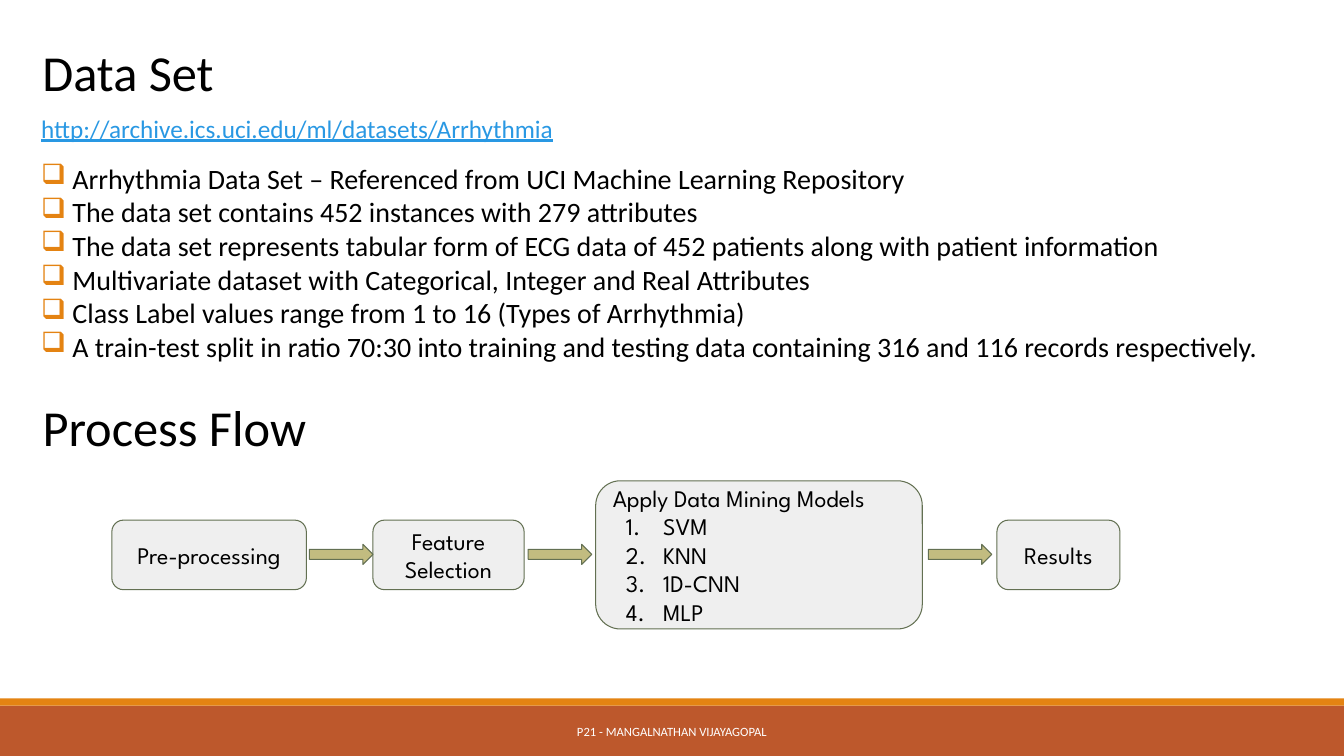
import dataclasses

import pptx
import pptx.dml.color
import pptx.enum.shapes
import pptx.enum.text
import pptx.oxml.xmlchemy
import pptx.util
from lxml import etree

SHAPE = pptx.enum.shapes.MSO_SHAPE
ALIGN = pptx.enum.text.PP_ALIGN
ANCHOR = pptx.enum.text.MSO_ANCHOR
DRAWING = "{http://schemas.openxmlformats.org/drawingml/2006/main}"

COLUMN = ROW = pptx.util.Inches(0.1)
COLUMNS, ROWS = 133.33, 75
MARGIN = 3.1
FLOW_MIDDLE = 55.05

FACTS = [
    "Arrhythmia Data Set – Referenced from UCI Machine Learning Repository",
    "The data set contains 452 instances with 279 attributes",
    "The data set represents tabular form of ECG data of 452 patients along with patient information",
    "Multivariate dataset with Categorical, Integer and Real Attributes",
    "Class Label values range from 1 to 16 (Types of Arrhythmia)",
    "A train-test split in ratio 70:30 into training and testing data containing 316 and 116 records respectively.",
]
MODELS = ["SVM", "KNN", "1D-CNN", "MLP"]
# Left column, width, height, heading, numbered items
STEPS = [
    (11.1, 19.3, 6.9, "Pre-processing", []),
    (37, 15, 6.9, "Feature Selection", []),
    (59.1, 32.4, 14.7, "Apply Data Mining Models", MODELS),
    (98.9, 12.2, 6.9, "Results", []),
]
ARROW_COLUMNS = [30.7, 52.4, 92.1]


@dataclasses.dataclass(frozen=True)
class Theme:
    body_font: str = "Calibri"
    flow_font: str = "League Spartan"
    title_size: float = 36
    fact_size: float = 20
    fact_leading: float = 24
    link_size: float = 18
    flow_size: float = 17
    flow_leading: float = 20.4
    footer_size: float = 9
    text: str = "000000"
    link: str = "2998E3"
    accent: str = "E48312"
    footer: str = "BD582C"
    footer_text: str = "FFFFFF"
    step: str = "EFEFEF"
    arrow: str = "C2BC80"
    outline: str = "637052"


THEME = Theme()


def rgb(value):
    return pptx.dml.color.RGBColor.from_string(value)


def place(column, row, width, height):
    """Turn grid columns and rows into slide lengths."""
    return (round(column * COLUMN), round(row * ROW),
            round(width * COLUMN), round(height * ROW))


def add_run(paragraph, text, font, size, color, underline=None):
    run = paragraph.add_run()
    run.text = text
    run.font.name = font
    run.font.size = pptx.util.Pt(size)
    run.font.color.rgb = rgb(color)
    run.font.underline = underline


def add_marker(paragraph, margin, hanging, tag, attributes, color=None):
    """Give a paragraph a hanging indent and a bullet or a number."""
    properties = paragraph._p.get_or_add_pPr()
    properties.set("marL", str(round(margin * COLUMN)))
    properties.set("indent", str(-round(hanging * COLUMN)))
    if color:
        bullet_color = etree.SubElement(properties, DRAWING + "buClr")
        etree.SubElement(bullet_color, DRAWING + "srgbClr", val=color)
    etree.SubElement(properties, DRAWING + tag, attributes)


def add_text_box(slide, area, wrap=True):
    frame = slide.shapes.add_textbox(*place(*area)).text_frame
    frame.word_wrap = wrap
    return frame


def add_shape(slide, kind, area, fill, outline=None):
    shape = slide.shapes.add_shape(kind, *place(*area))
    shape.shadow.inherit = False
    shape.fill.solid()
    shape.fill.fore_color.rgb = rgb(fill)
    if outline:
        shape.line.color.rgb = rgb(outline)
        shape.line.width = pptx.util.Pt(0.75)
    else:
        shape.line.fill.background()
    return shape


def add_title(slide, text, row, width):
    frame = add_text_box(slide, (MARGIN, row, width, 7.1), wrap=False)
    paragraph = frame.paragraphs[0]
    paragraph.alignment = ALIGN.CENTER
    add_run(paragraph, text, THEME.body_font, THEME.title_size, THEME.text)


def add_address(slide, text):
    frame = add_text_box(slide, (MARGIN, 10.7, 53.4, 4.1))
    add_run(frame.paragraphs[0], text, THEME.body_font, THEME.link_size,
            THEME.link, underline=True)


def add_facts(slide, facts):
    frame = add_text_box(slide, (MARGIN, 15.5, 123.9, 21.3))
    for index, fact in enumerate(facts):
        paragraph = frame.add_paragraph() if index else frame.paragraphs[0]
        paragraph.line_spacing = pptx.util.Pt(THEME.fact_leading)
        add_marker(paragraph, 3.1, 3.1, "buChar", {"char": "❑"}, THEME.accent)
        add_run(paragraph, fact, THEME.body_font, THEME.fact_size, THEME.text)


def add_step(slide, column, width, height, heading, items):
    """Draw a process step centred on the flow line."""
    area = (column, FLOW_MIDDLE - height / 2, width, height)
    step = add_shape(slide, SHAPE.ROUNDED_RECTANGLE, area, THEME.step, THEME.outline)
    frame = step.text_frame
    frame.word_wrap = True
    frame.vertical_anchor = ANCHOR.MIDDLE
    frame.margin_left = frame.margin_right = COLUMN
    frame.margin_top = frame.margin_bottom = ROW
    for index, text in enumerate([heading, *items]):
        paragraph = frame.add_paragraph() if index else frame.paragraphs[0]
        paragraph.alignment = ALIGN.LEFT if items else ALIGN.CENTER
        paragraph.line_spacing = pptx.util.Pt(THEME.flow_leading)
        if index:
            add_marker(paragraph, 5, 3.7, "buAutoNum", {"type": "arabicPeriod"})
        add_run(paragraph, text, THEME.flow_font, THEME.flow_size, THEME.text)


def add_flow_arrow(slide, column):
    area = (column, FLOW_MIDDLE - 1.05, 6.3, 2)
    add_shape(slide, SHAPE.RIGHT_ARROW, area, THEME.arrow, THEME.outline)


def add_footer(slide, text):
    add_shape(slide, SHAPE.RECTANGLE, (0, 70, COLUMNS, 5), THEME.footer)
    add_shape(slide, SHAPE.RECTANGLE, (0, 69.3, COLUMNS, 0.7), THEME.accent)
    frame = add_text_box(slide, (40.3, 70.6, 52.7, 4))
    frame.vertical_anchor = ANCHOR.MIDDLE
    paragraph = frame.paragraphs[0]
    paragraph.alignment = ALIGN.CENTER
    add_run(paragraph, text, THEME.body_font, THEME.footer_size, THEME.footer_text)


def main():
    presentation = pptx.Presentation()
    presentation.slide_width = round(COLUMNS * COLUMN)
    presentation.slide_height = ROWS * ROW
    slide = presentation.slides.add_slide(presentation.slide_layouts[6])
    add_footer(slide, "P21 - MANGALNATHAN VIJAYAGOPAL")
    add_title(slide, "Data Set", 3.6, 19.2)
    add_address(slide, "http://archive.ics.uci.edu/ml/datasets/Arrhythmia")
    add_facts(slide, FACTS)
    add_title(slide, "Process Flow", 38.8, 28.4)
    for step in STEPS:
        add_step(slide, *step)
    for column in ARROW_COLUMNS:
        add_flow_arrow(slide, column)
    presentation.save("out.pptx")


if __name__ == "__main__":
    main()
